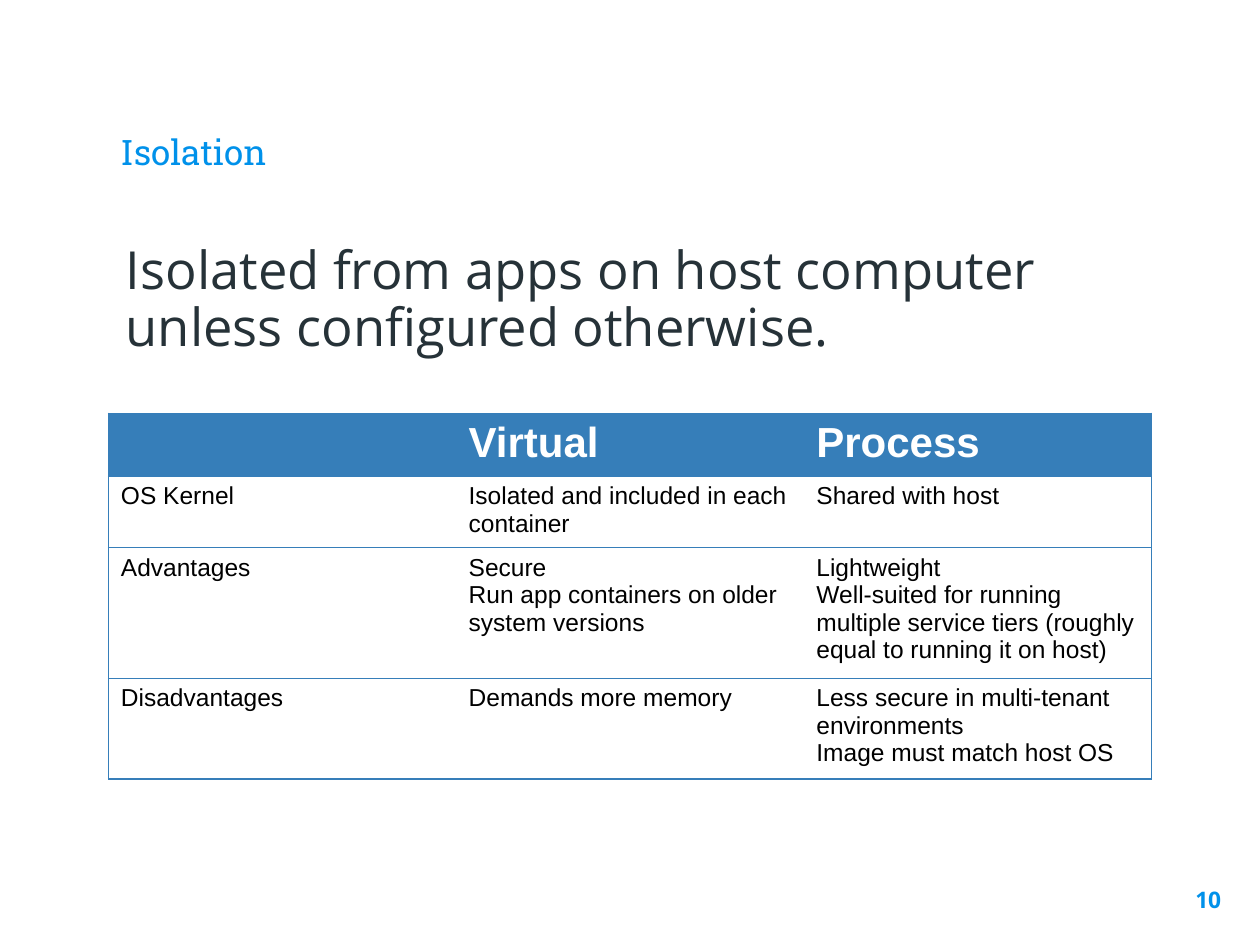
from pptx import Presentation
from pptx import util as u
from pptx.dml.color import RGBColor
from pptx.enum import text
from pptx.oxml import parse_xml
from pptx.oxml.ns import nsdecls, qn

SKY = RGBColor(0x00, 0x91, 0xEA)
SLATE = RGBColor(0x26, 0x32, 0x38)
STEEL = RGBColor(0x36, 0x7E, 0xB9)
WHITE = RGBColor(0xFF, 0xFF, 0xFF)
BLACK = RGBColor(0x00, 0x00, 0x00)
PLAIN_TABLE = "{2D5ABB26-0587-4C30-8999-92F81FD0307C}"


class SlideBuilder:
    heading_font = "Roboto Slab"
    body_font = "Open Sans"
    table_font = "Arial"
    inset = u.Inches(0.1)

    def __init__(self, slide):
        self.slide = slide

    def format_runs(self, paragraph, font, size, color, bold=False):
        for run in paragraph.runs:
            run.font.name = font
            run.font.size = u.Pt(size)
            run.font.color.rgb = color
            run.font.bold = bold

    def add_text(self, words, box, font, size, color, bold=False,
                 anchor=text.MSO_ANCHOR.TOP, align=text.PP_ALIGN.LEFT):
        shape = self.slide.shapes.add_textbox(*map(u.Inches, box))
        frame = shape.text_frame
        frame.word_wrap = True
        frame.vertical_anchor = anchor
        frame.margin_left = frame.margin_right = self.inset
        frame.margin_top = frame.margin_bottom = self.inset
        frame.text = words
        paragraph = frame.paragraphs[0]
        paragraph.alignment = align
        self.format_runs(paragraph, font, size, color, bold)
        return paragraph

    def set_borders(self, cell, visible):
        properties = cell._tc.get_or_add_tcPr()
        for position, side in enumerate("LRTB"):
            fill = (f'<a:solidFill><a:srgbClr val="{STEEL}"/></a:solidFill>'
                    if side in visible else "<a:noFill/>")
            properties.insert(position, parse_xml(
                f'<a:ln{side} {nsdecls("a")} w="{u.Pt(0.75)}">{fill}</a:ln{side}>'))

    def add_table(self, rows, box, row_height):
        row_count, column_count = len(rows), len(rows[0])
        frame = self.slide.shapes.add_table(
            row_count, column_count, *map(u.Inches, box))
        table = frame.table
        table.first_row = table.horz_banding = False
        table._tbl.tblPr.find(qn("a:tableStyleId")).text = PLAIN_TABLE
        for row_index, row in enumerate(rows):
            table.rows[row_index].height = u.Inches(row_height)
            header = row_index == 0
            size, color = (24, WHITE) if header else (14, BLACK)
            for column_index, words in enumerate(row):
                cell = table.cell(row_index, column_index)
                cell.text = words
                cell.fill.solid()
                cell.fill.fore_color.rgb = STEEL if header else WHITE
                for paragraph in cell.text_frame.paragraphs:
                    self.format_runs(paragraph, self.table_font, size, color, header)
                left = "L" if column_index == 0 else ""
                right = "R" if column_index == column_count - 1 else ""
                self.set_borders(cell, "TB" + left + right)


presentation = Presentation()
presentation.slide_width = u.Inches(10)
presentation.slide_height = u.Inches(7.5)
builder = SlideBuilder(presentation.slides.add_slide(presentation.slide_layouts[6]))

LEFT, WIDTH = 0.86, 8.28
builder.add_text("Isolation", (LEFT, 0.45, WIDTH, 1.02), builder.heading_font, 20, SKY,
                 anchor=text.MSO_ANCHOR.BOTTOM)
statement = builder.add_text(
    "Isolated from apps on host computer unless configured otherwise.",
    (LEFT, 1.84, WIDTH, 1.28), builder.body_font, 30, SLATE)
statement.line_spacing = 0.9
statement.space_before = u.Pt(2)
statement._p.get_or_add_pPr().set("marL", str(u.Inches(0.04)))
builder.add_text("10", (9.19, 6.93, 0.6, 0.57), builder.body_font, 13, SKY, bold=True,
                 align=text.PP_ALIGN.RIGHT)

comparison = [
    ("", "Virtual", "Process"),
    ("OS Kernel", "Isolated and included in each container", "Shared with host"),
    ("Advantages",
     "Secure\nRun app containers on older system versions",
     "Lightweight\nWell-suited for running multiple service tiers "
     "(roughly equal to running it on host)"),
    ("Disadvantages", "Demands more memory",
     "Less secure in multi-tenant environments\nImage must match host OS"),
]
builder.add_table(comparison, (LEFT, 3.28, WIDTH, 1.64), row_height=0.41)

presentation.save("out.pptx")
